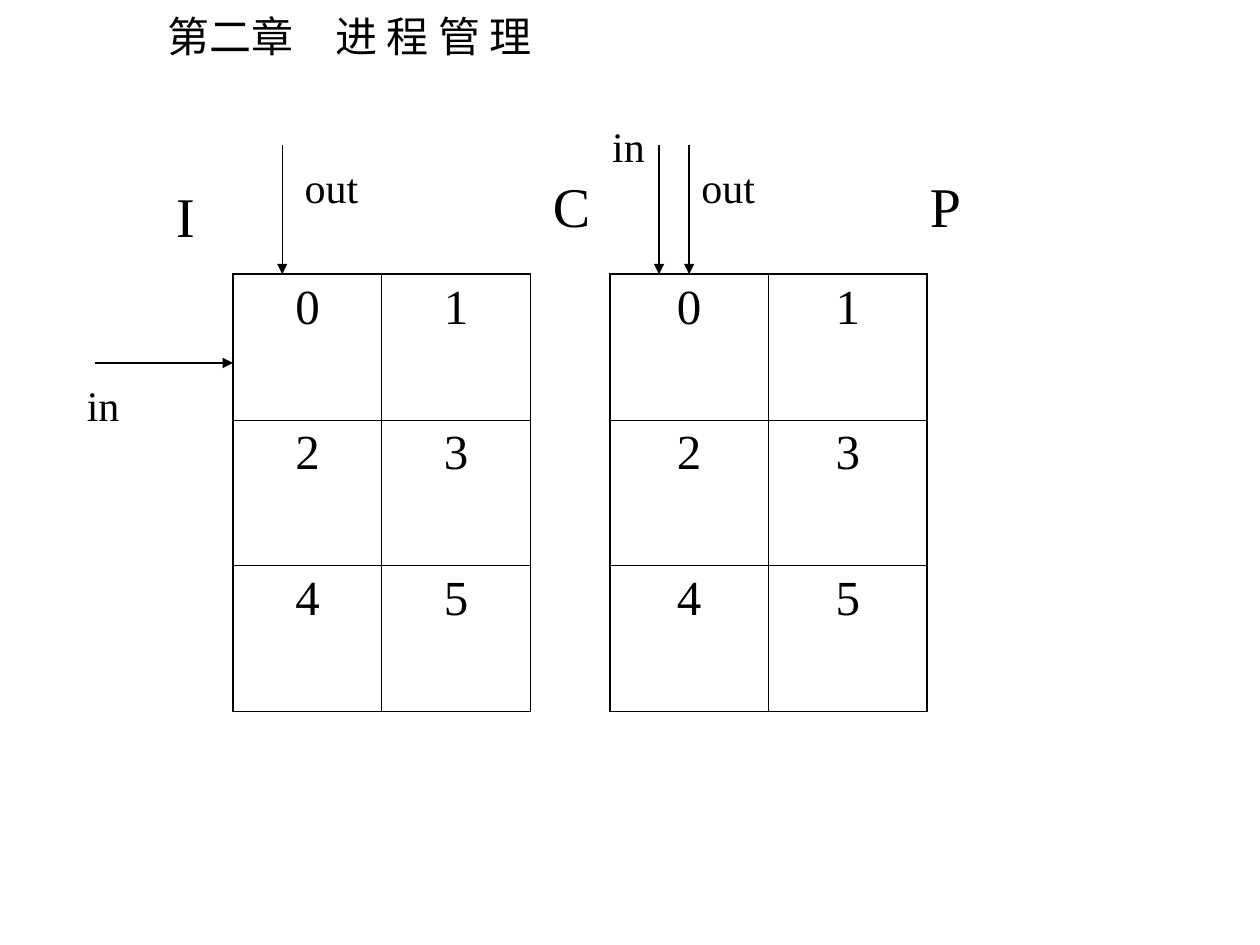
from lxml.etree import SubElement
from pptx import Presentation
from pptx.dml.color import RGBColor
from pptx.enum.shapes import MSO_CONNECTOR
from pptx.enum.text import MSO_AUTO_SIZE, PP_ALIGN
from pptx.oxml.ns import qn
from pptx.util import Pt

BLACK = "000000"
LATIN = "Times New Roman"
CJK = "Noto Sans CJK SC"
ROWS, COLS = 3, 2
ROW_HEIGHT = 83.3
TABLE_TOP = 156.7
ARROW_TOP = 82.8


def color(hex_code):
    """Return the colour for a hex string."""
    return RGBColor.from_string(hex_code)


def add_run(p, text, size, font=LATIN):
    """Add one black run to a paragraph."""
    r = p.add_run()
    r.text = text
    r.font.size = Pt(size)
    r.font.name = font
    r.font.color.rgb = color(BLACK)
    SubElement(r.font._element, qn("a:ea"), typeface=font)


def add_label(s, text, left, top, width, height, size, font=LATIN, wrap=True):
    """Add a one-line text box."""
    sp = s.shapes.add_textbox(Pt(left), Pt(top), Pt(width), Pt(height))
    tf = sp.text_frame
    tf.word_wrap = wrap
    tf.auto_size = MSO_AUTO_SIZE.SHAPE_TO_FIT_TEXT
    add_run(tf.paragraphs[0], text, size, font)


def add_arrow(s, x1, y1, x2, y2):
    """Add a thin line with a triangle at its end."""
    line = s.shapes.add_connector(MSO_CONNECTOR.STRAIGHT, Pt(x1), Pt(y1), Pt(x2), Pt(y2))
    line.line.color.rgb = color(BLACK)
    line.line.width = Pt(0.75)
    SubElement(line.line._get_or_add_ln(), qn("a:tailEnd"), type="triangle")
    SubElement(line._element.spPr, qn("a:effectLst"))


def set_borders(cell, row, col):
    """Draw thick borders on the table's outside and thin ones inside."""
    outer = {"L": col == 0, "R": col == COLS - 1, "T": row == 0, "B": row == ROWS - 1}
    tc_pr = cell._tc.get_or_add_tcPr()
    for side, is_outer in outer.items():
        width = Pt(1.08 if is_outer else 0.45)
        ln = SubElement(tc_pr, qn(f"a:ln{side}"), w=str(width))
        fill = SubElement(ln, qn("a:solidFill"))
        SubElement(fill, qn("a:srgbClr"), val=BLACK)


def add_page_table(s, left, col_width):
    """Add a table of consecutively numbered cells."""
    frame = s.shapes.add_table(ROWS, COLS, Pt(left), Pt(TABLE_TOP),
                               Pt(COLS * col_width), Pt(ROWS * ROW_HEIGHT))
    table = frame.table
    table.first_row = table.horz_banding = False
    for col in table.columns:
        col.width = Pt(col_width)
    for row in table.rows:
        row.height = Pt(ROW_HEIGHT)
    for i, cell in enumerate(table.iter_cells()):
        set_borders(cell, *divmod(i, COLS))
        cell.fill.background()
        p = cell.text_frame.paragraphs[0]
        p.alignment = PP_ALIGN.CENTER
        add_run(p, str(i), 28)


def main():
    """Build the slide and save it."""
    prs = Presentation()
    prs.slide_width, prs.slide_height = Pt(720), Pt(540)
    s = prs.slides.add_slide(prs.slide_layouts[6])

    add_label(s, "第二章\u3000进 程 管 理".replace("\u3000", "　"), 88.6, 2.2, 227.5, 36, 24, CJK, wrap=False)
    for text, left, top in (("I", 93.6, 100), ("C", 308.9, 94.3), ("P", 524.2, 94.3)):
        add_label(s, text, left, top, 34, 46, 32)

    add_page_table(s, 133.2, 85)
    add_page_table(s, 348.5, 90.7)

    add_arrow(s, 54, 207.4, 133.2, 207.4)
    for x in (161.3, 376.6, 393.8):
        add_arrow(s, x, ARROW_TOP, x, TABLE_TOP)

    for text, left, top, width in (("in", 42.5, 213.1, 51), ("out", 167, 88.6, 45.4),
                                   ("out", 393.8, 88.6, 45.4), ("in", 342.7, 65.5, 34)):
        add_label(s, text, left, top, width, 36, 24)

    prs.save("out.pptx")


if __name__ == "__main__":
    main()
